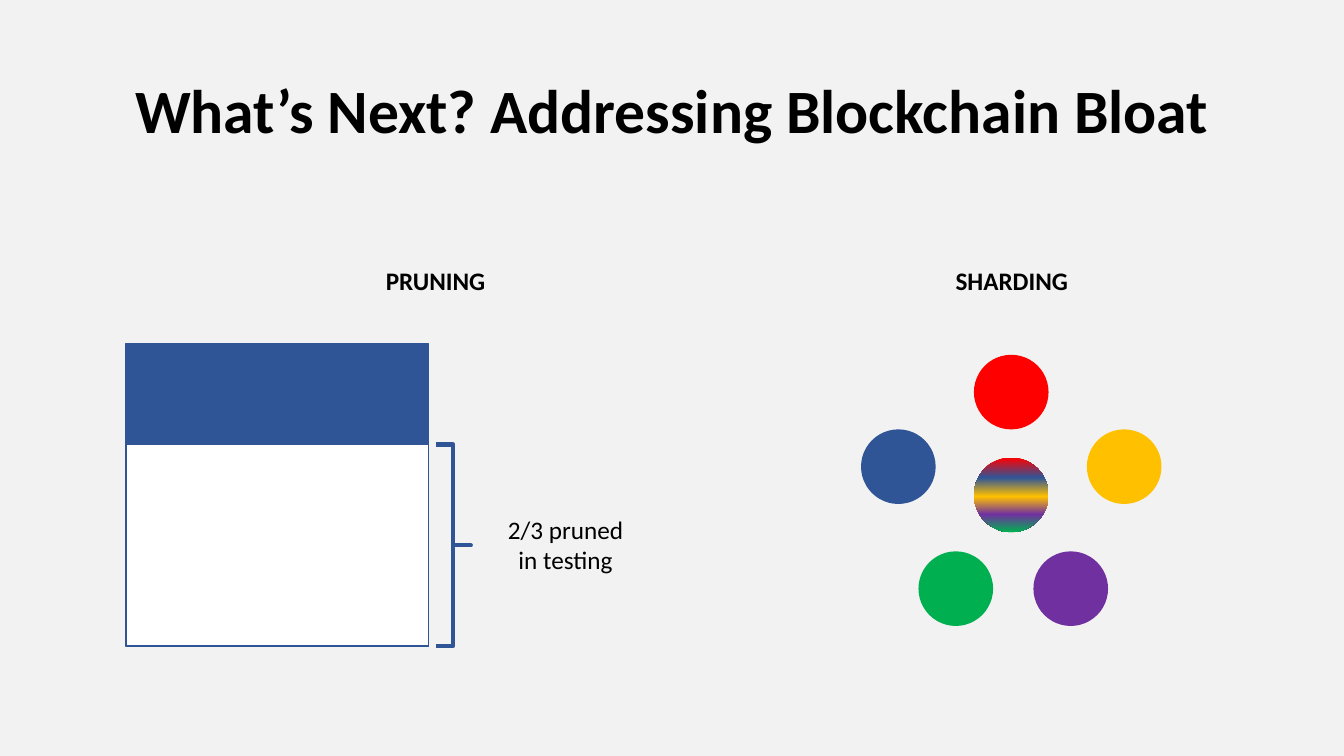
from dataclasses import dataclass

from lxml.etree import SubElement
from pptx import Presentation
from pptx.dml.color import RGBColor as Rgb
from pptx.enum.shapes import MSO_SHAPE as Preset
from pptx.enum.text import MSO_ANCHOR as Anchor, MSO_AUTO_SIZE as AutoSize, PP_ALIGN as Align
from pptx.oxml.ns import qn
from pptx.util import Inches, Pt


@dataclass(frozen=True)
class Theme:
    font: str = "Calibri"
    title_size: int = 44
    body_size: int = 18
    background: str = "F2F2F2"
    text: str = "000000"
    white: str = "FFFFFF"
    blue: str = "2F5597"
    red: str = "FF0000"
    yellow: str = "FFC000"
    green: str = "00B050"
    purple: str = "7030A0"


THEME = Theme()

# Grid of square cells: 30 rows down the slide
SLIDE_WIDTH, SLIDE_HEIGHT = Inches(13.33), Inches(7.5)
CELL = SLIDE_HEIGHT / 30


def cells(*counts):
    return [round(count * CELL) for count in counts]


def add_text(shapes, box, lines, size=THEME.body_size, bold=False, wrap=False):
    shape = shapes.add_textbox(*cells(*box))
    frame = shape.text_frame
    frame.word_wrap = wrap
    frame.auto_size = AutoSize.NONE if wrap else AutoSize.SHAPE_TO_FIT_TEXT
    frame.text = "\n".join(lines)
    for paragraph in frame.paragraphs:
        paragraph.alignment = Align.CENTER
        paragraph.font.name = THEME.font
        paragraph.font.size = Pt(size)
        paragraph.font.bold = bold
        paragraph.font.color.rgb = Rgb.from_string(THEME.text)
    return frame


def add_preset(shapes, preset, box, fill=None, line=None, line_width=1):
    shape = shapes.add_shape(preset, *cells(*box))
    shape.shadow.inherit = False
    if fill:
        shape.fill.solid()
        shape.fill.fore_color.rgb = Rgb.from_string(fill)
    else:
        shape.fill.background()
    if line:
        shape.line.color.rgb = Rgb.from_string(line)
        shape.line.width = Pt(line_width)
    else:
        shape.line.fill.background()
    return shape


def add_circle(shapes, center_x, center_y, fill):
    diameter = 2.96
    box = (center_x - diameter / 2, center_y - diameter / 2, diameter, diameter)
    return add_preset(shapes, Preset.OVAL, box, fill)


def set_gradient(shape, stops):
    shape.fill.gradient()
    shape.fill.gradient_angle = 270  # top to bottom
    stop_list = shape.fill._fill._gradFill.find(qn("a:gsLst"))
    for stop in list(stop_list):
        stop_list.remove(stop)
    for percent, color in stops:
        stop = SubElement(stop_list, qn("a:gs"), pos=str(percent * 1000))
        SubElement(stop, qn("a:srgbClr"), val=color)


def add_pruning(slide):
    left, top, side = 5, 13.64, 12
    kept = side / 3
    pruned_top, pruned_height = top + kept, side - kept
    add_text(slide.shapes, (14.88, 10.32, 4.8, 1.6), ["PRUNING"], bold=True)

    # Whole chain, with the pruned two thirds laid over it
    shapes = slide.shapes.add_group_shape().shapes
    add_preset(shapes, Preset.RECTANGLE, (left, top, side, side), THEME.blue, THEME.blue)
    add_preset(shapes, Preset.RECTANGLE, (left, pruned_top, side, pruned_height),
               THEME.white, THEME.blue)

    # Square bracket and its label
    brace = add_preset(shapes, Preset.RIGHT_BRACE, (17.28, pruned_top, 1.4, pruned_height),
                       line=THEME.blue, line_width=3)
    brace.adjustments[0], brace.adjustments[1] = 0, 0.5
    add_text(shapes, (19.72, 20.2, 5.44, 2.84), ["2/3 pruned", "in testing"])


def add_sharding(slide):
    center_x, center_y = 40.12, 19.64
    add_text(slide.shapes, (37.48, 10.32, 5.32, 1.6), ["SHARDING"], bold=True)

    # Ring of shards, as offsets from the centre
    shards = [
        (-4.48, -1.12, THEME.blue),
        (0, -4.08, THEME.red),
        (4.48, -1.12, THEME.yellow),
        (-2.2, 3.72, THEME.green),
        (2.36, 3.72, THEME.purple),
    ]
    for offset_x, offset_y, color in shards:
        add_circle(slide.shapes, center_x + offset_x, center_y + offset_y, color)

    # Combined chain in the middle
    combined = add_circle(slide.shapes, center_x, center_y, THEME.white)
    set_gradient(combined, [(0, THEME.red), (27, THEME.blue), (52, THEME.yellow),
                            (76, THEME.purple), (100, THEME.green)])


def main():
    presentation = Presentation()
    presentation.slide_width, presentation.slide_height = SLIDE_WIDTH, SLIDE_HEIGHT
    slide = presentation.slides.add_slide(presentation.slide_layouts[6])
    slide.background.fill.solid()
    slide.background.fill.fore_color.rgb = Rgb.from_string(THEME.background)

    # Title
    title = add_text(slide.shapes, (3.68, 1.6, 46, 5.8),
                     ["What’s Next? Addressing Blockchain Bloat"],
                     THEME.title_size, bold=True, wrap=True)
    title.vertical_anchor = Anchor.MIDDLE
    title.paragraphs[0].line_spacing = 0.9

    add_pruning(slide)
    add_sharding(slide)
    presentation.save("out.pptx")


if __name__ == "__main__":
    main()
